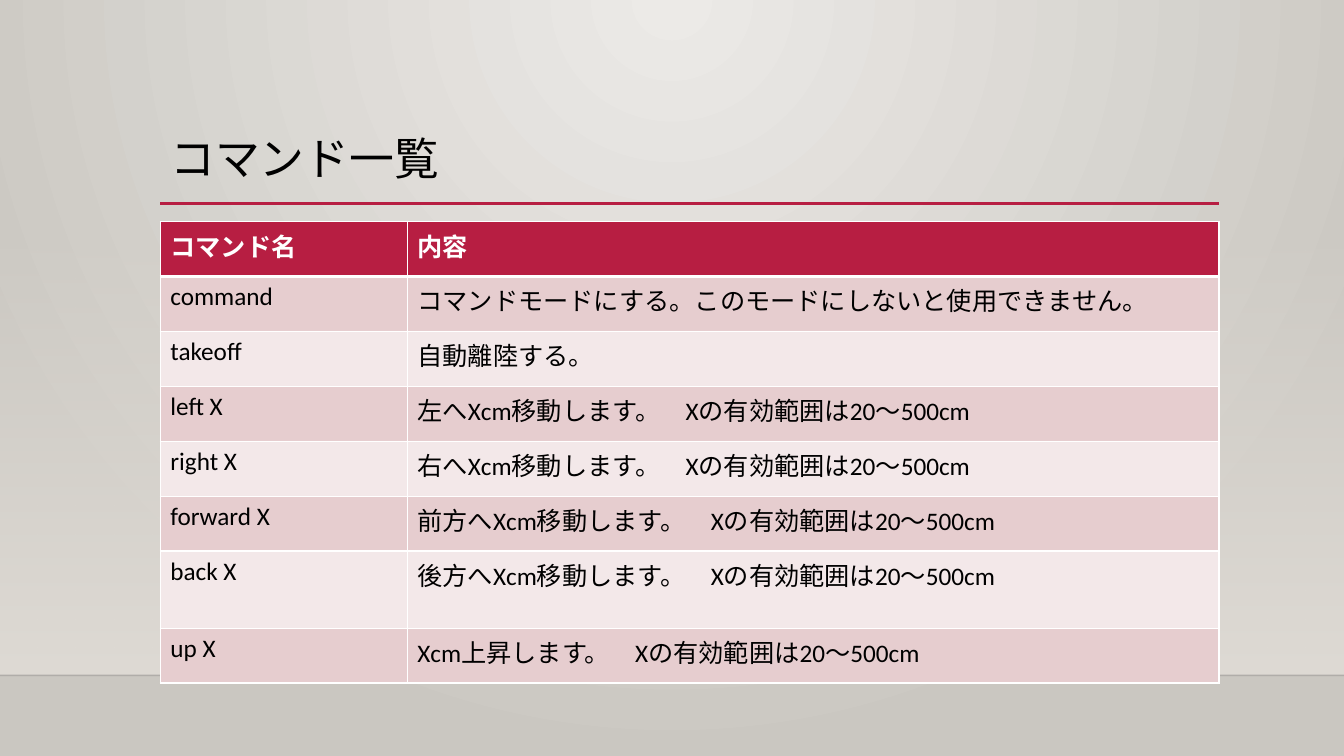
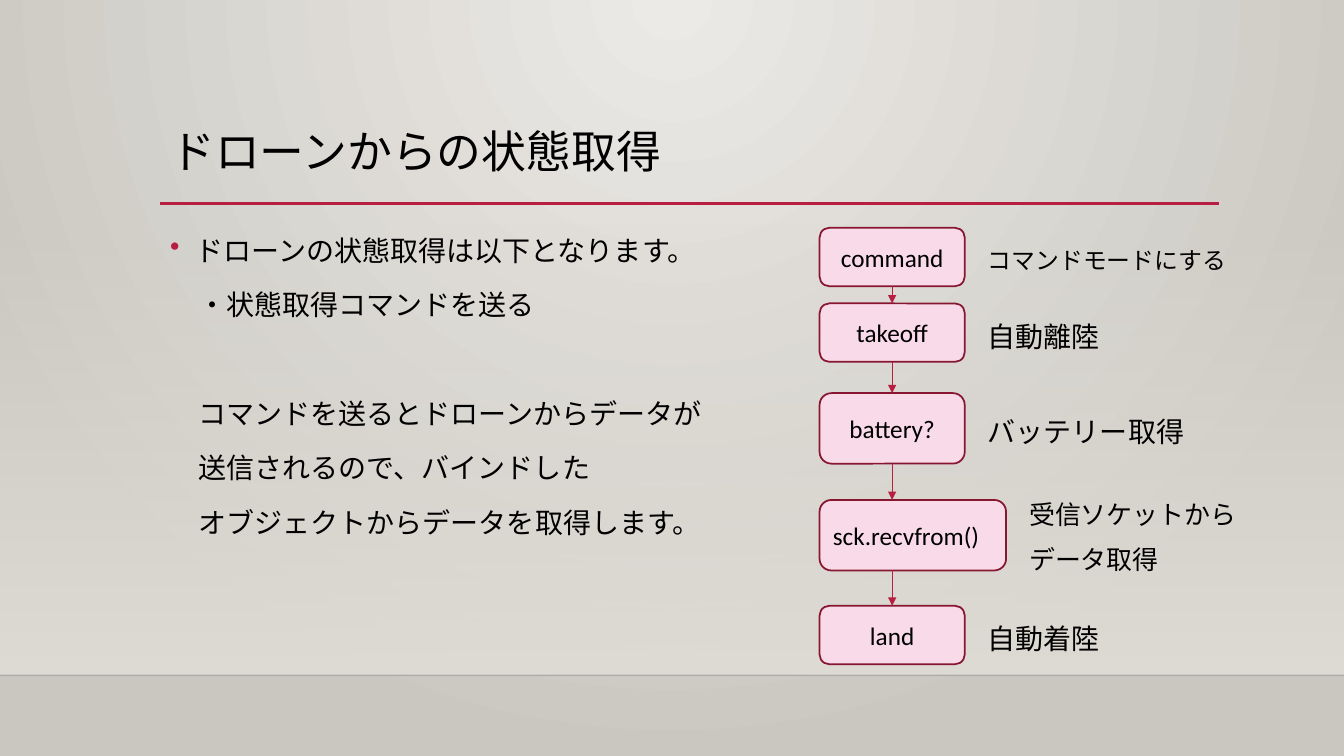
from lxml.etree import SubElement
from pptx import Presentation
from pptx.dml.color import RGBColor
from pptx.enum.shapes import MSO_CONNECTOR, MSO_SHAPE
from pptx.enum.text import MSO_ANCHOR, PP_ALIGN
from pptx.oxml.ns import qn
from pptx.util import Inches, Pt

SLIDE_WIDTH, SLIDE_HEIGHT = Inches(13.33), Inches(7.5)
FONT = "Calibri"
BLACK, WHITE = "000000", "FFFFFF"
CRIMSON, DARK_CRIMSON, PINK = "B71E42", "871631", "F8DAE8"
ROW_TINTS = ("E6CDCF", "F3E8E9")
SAND = "DFDBD5"
BACKDROP = ("ECEAE7", "CAC7C1")

LEFT, CONTENT_WIDTH, CONTENT_TOP = 11.93, 78.77, 29.33
RULE_ROW, FLOOR_ROW = 26.93, 89.33
FLOW_LEFT, STEP_WIDTH, LABEL_GAP = 60.98, 10.8, 0.98

COMMANDS = [
    ("コマンド名", "内容"),
    ("command", "コマンドモードにする。このモードにしないと使用できません。"),
    ("takeoff", "自動離陸する。"),
    ("left X", "左へXcm移動します。　Xの有効範囲は20～500cm"),
    ("right X", "右へXcm移動します。　Xの有効範囲は20～500cm"),
    ("forward X", "前方へXcm移動します。　Xの有効範囲は20～500cm"),
    ("back X", "後方へXcm移動します。　Xの有効範囲は20～500cm"),
    ("up X", "Xcm上昇します。　Xの有効範囲は20～500cm"),
]

EXPLANATION = [
    ("ドローンの状態取得は以下となります。", 10),
    ("・状態取得コマンドを送る", 10),
    ("コマンドを送るとドローンからデータが", 49),
    ("送信されるので、バインドした", 10),
    ("オブジェクトからデータを取得します。", 10),
]

STEPS = [
    ("command", 30.13, STEP_WIDTH, 7.73, "コマンドモードにする", 31.47, 17, 1.1),
    ("takeoff", 40.13, STEP_WIDTH, 7.73, "自動離陸", 40.67, 20, 1.2),
    ("battery?", 52, STEP_WIDTH, 9.33, "バッテリー取得", 53.33, 20, 1.2),
    ("sck.recvfrom()", 66.13, 13.88, 9.33, "受信ソケットから\nデータ取得", 65.33, 18.5, 1.0),
    ("land", 80.13, STEP_WIDTH, 7.73, "自動着陸", 80.67, 20, 1.2),
]


def across(columns):
    return round(SLIDE_WIDTH * columns / 100)


def down(rows):
    return round(SLIDE_HEIGHT * rows / 100)


def area(left, top, width, height):
    return across(left), down(top), across(width), down(height)


def color(code):
    return RGBColor.from_string(code)


def add_alpha(element, percent):
    for rgb in element.iter(qn("a:srgbClr")):
        SubElement(rgb, qn("a:alpha"), val=str(percent * 1000))


def paint_gradient(fill, codes):
    fill.gradient()
    for stop, code in zip(fill.gradient_stops, codes):
        stop.color.rgb = color(code)


def set_backdrop(master):
    paint_gradient(master.background.fill, BACKDROP)
    gradient = master.element.find(".//" + qn("a:gradFill"))
    gradient.remove(gradient.find(qn("a:lin")))
    glow = SubElement(gradient, qn("a:path"), path="circle")
    SubElement(glow, qn("a:fillToRect"), l="43000", t="0", r="43000", b="100000")


def style_paragraph(paragraph, size, code=BLACK, bold=False):
    for run in paragraph.runs:
        run.font.name = FONT
        run.font.size = Pt(size)
        run.font.bold = bold
        run.font.color.rgb = color(code)


def add_text(slide, place, lines, size, spacing, before=None):
    frame = slide.shapes.add_textbox(*area(*place)).text_frame
    frame.word_wrap = True
    frame.text = lines
    for paragraph in frame.paragraphs:
        paragraph.line_spacing = spacing
        if before is not None:
            paragraph.space_before = Pt(before)
        style_paragraph(paragraph, size)
    return frame


def add_line(slide, start, end, code, width):
    line = slide.shapes.add_connector(
        MSO_CONNECTOR.STRAIGHT,
        across(start[0]), down(start[1]), across(end[0]), down(end[1]))
    line.line.color.rgb = color(code)
    line.line.width = Pt(width)
    SubElement(line.element.spPr, qn("a:effectLst"))
    return line


def add_slide(deck, title, title_row):
    slide = deck.slides.add_slide(deck.slide_layouts[6])
    wall = slide.shapes.add_shape(
        MSO_SHAPE.RECTANGLE, *area(0, 29.47, 100, FLOOR_ROW - 29.47))
    wall.shadow.inherit = False
    wall.line.fill.background()
    paint_gradient(wall.fill, (SAND, SAND))
    wall.fill.gradient_angle = 270
    add_alpha(wall.element.find(".//" + qn("a:gs")), 0)
    floor = add_line(slide, (0, FLOOR_ROW), (100, FLOOR_ROW), "000001", 1)
    add_alpha(floor.element.spPr, 20)
    add_line(slide, (LEFT, RULE_ROW), (LEFT + CONTENT_WIDTH, RULE_ROW), CRIMSON, 2.5)
    add_text(slide, (LEFT, title_row, CONTENT_WIDTH, RULE_ROW - title_row), title, 32, 0.9)
    return slide


def add_borders(cell, widths):
    properties = cell._tc.get_or_add_tcPr()
    for side, width in zip("LRTB", widths):
        border = SubElement(properties, qn("a:ln" + side), w=str(Pt(width)))
        paint = SubElement(border, qn("a:solidFill"))
        SubElement(paint, qn("a:srgbClr"), val=WHITE)


def add_command_table(slide):
    heights = [7.26] * len(COMMANDS)
    heights[6] = 10.2
    table = slide.shapes.add_table(
        len(COMMANDS), 2,
        *area(LEFT, CONTENT_TOP, CONTENT_WIDTH, sum(heights))).table
    table.horz_banding = False
    table.columns[0].width = across(18.38)
    table.columns[1].width = across(CONTENT_WIDTH - 18.38)
    for index, entry in enumerate(COMMANDS):
        header = index == 0
        table.rows[index].height = down(heights[index])
        for cell, words in zip(table.rows[index].cells, entry):
            add_borders(cell, (1, 1, 3 if index == 1 else 1, 3 if header else 1))
            cell.fill.solid()
            cell.fill.fore_color.rgb = color(
                CRIMSON if header else ROW_TINTS[(index - 1) % 2])
            cell.text = words
            style_paragraph(cell.text_frame.paragraphs[0], 18,
                            WHITE if header else BLACK, header)


def add_explanation(slide):
    frame = add_text(slide, (LEFT, CONTENT_TOP, 43.5, 50.27),
                     "\n".join(words for words, _ in EXPLANATION), 20, 1.2)
    for paragraph, (_, before) in zip(frame.paragraphs, EXPLANATION):
        paragraph.space_before = Pt(before)
        paragraph._p.get_or_add_pPr().set("marL", str(Inches(0.28)))
    lead = frame.paragraphs[0]._p.get_or_add_pPr()
    lead.set("marL", str(Inches(0.25)))
    lead.set("indent", str(Inches(-0.25)))
    bullet_color = SubElement(lead, qn("a:buClr"))
    SubElement(bullet_color, qn("a:srgbClr"), val=CRIMSON)
    SubElement(lead, qn("a:buChar"), char="•")


def add_step(slide, name, top, width, height):
    step = slide.shapes.add_shape(
        MSO_SHAPE.ROUNDED_RECTANGLE, *area(FLOW_LEFT, top, width, height))
    step.shadow.inherit = False
    step.fill.solid()
    step.fill.fore_color.rgb = color(PINK)
    step.line.color.rgb = color(DARK_CRIMSON)
    step.line.width = Pt(1.25)
    frame = step.text_frame
    frame.text = name
    frame.word_wrap = True
    frame.vertical_anchor = MSO_ANCHOR.MIDDLE
    paragraph = frame.paragraphs[0]
    paragraph.alignment = PP_ALIGN.CENTER if width == STEP_WIDTH else PP_ALIGN.LEFT
    style_paragraph(paragraph, 18)
    return step


def add_arrow(slide, upper, lower):
    middle = FLOW_LEFT + STEP_WIDTH / 2
    start = (upper.top + upper.height) / SLIDE_HEIGHT * 100
    end = lower.top / SLIDE_HEIGHT * 100
    arrow = add_line(slide, (middle, start), (middle, end), CRIMSON, 0.75)
    SubElement(arrow.element.spPr.find(qn("a:ln")), qn("a:tailEnd"), type="triangle")
    if upper.width == across(STEP_WIDTH):
        arrow.begin_connect(upper, 2)
    if lower.width == across(STEP_WIDTH):
        arrow.end_connect(lower, 0)


def add_flow(slide):
    steps = []
    for name, top, width, height, label, label_top, size, spacing in STEPS:
        steps.append(add_step(slide, name, top, width, height))
        label_height = 11.87 if "\n" in label else 6.67
        add_text(slide, (FLOW_LEFT + width + LABEL_GAP, label_top, 20.03, label_height),
                 label, size, spacing, 10)
    for upper, lower in zip(steps, steps[1:]):
        add_arrow(slide, upper, lower)


def main():
    deck = Presentation()
    deck.slide_width, deck.slide_height = SLIDE_WIDTH, SLIDE_HEIGHT
    set_backdrop(deck.slide_master)
    add_command_table(add_slide(deck, "コマンド一覧", 17.47))
    status = add_slide(deck, "ドローンからの状態取得", 16.53)
    add_explanation(status)
    add_flow(status)
    deck.save("out.pptx")


if __name__ == "__main__":
    main()
